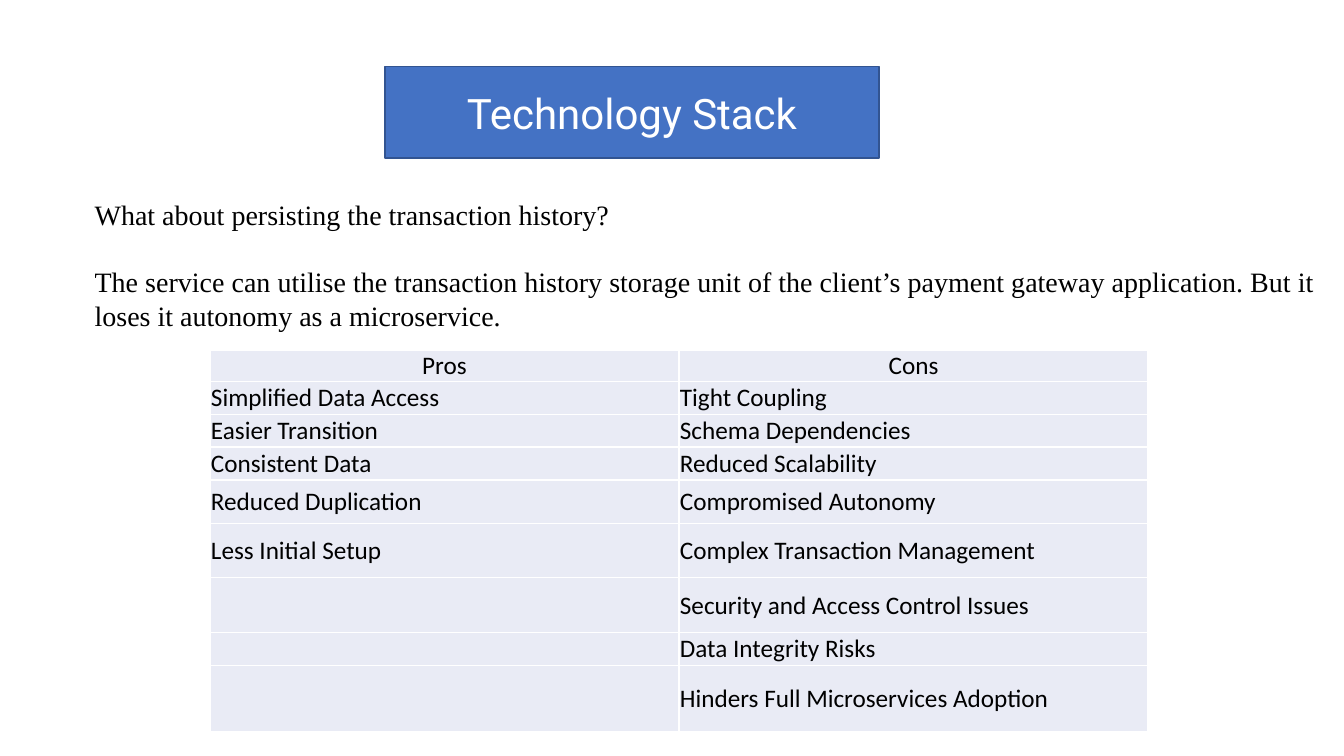
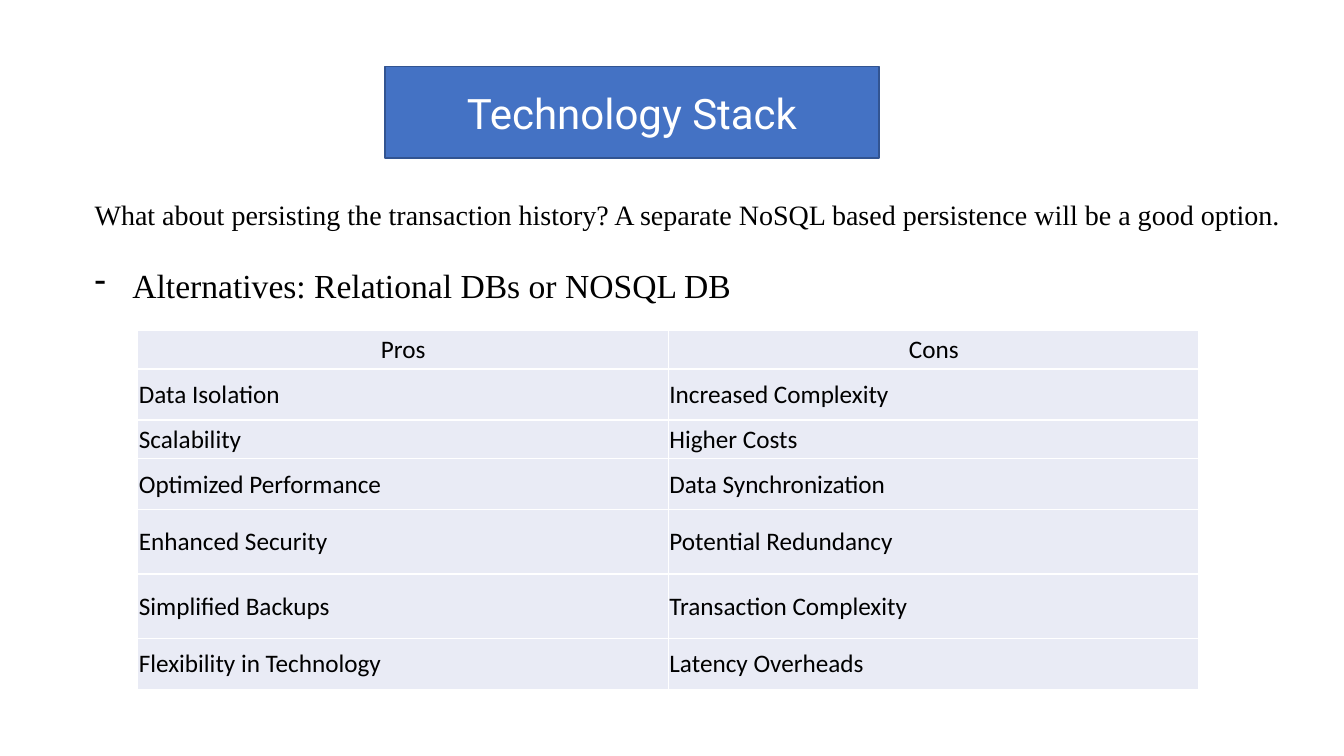
"""Build two Technology Stack slides, each with a text block and a pros and cons table."""
from lxml import etree
from pptx import Presentation
from pptx.dml.color import RGBColor
from pptx.enum.shapes import MSO_SHAPE
from pptx.enum.text import MSO_ANCHOR, MSO_AUTO_SIZE, PP_ALIGN
from pptx.oxml.ns import qn
from pptx.util import Pt

RECTANGLE = MSO_SHAPE.RECTANGLE
MIDDLE = MSO_ANCHOR.MIDDLE
GROW = MSO_AUTO_SIZE.SHAPE_TO_FIT_TEXT
LEFT, CENTER, JUSTIFY = PP_ALIGN.LEFT, PP_ALIGN.CENTER, PP_ALIGN.JUSTIFY

COLORS = {"band": "4472C4", "band_line": "325491", "cell": "E9EBF5",
          "white": "FFFFFF", "black": "000000"}
TITLE = "Technology Stack"
TITLE_BOX = (275, 47.5, 353, 65.5)
HEADER = ("Pros", "Cons")
CELL_MARGIN = 0.7

SLIDES = [
    {
        "body_height": 163,
        "body": [
            ("What about persisting the transaction history?", {}),
            ("The service can utilise the transaction history storage unit of the client’s "
             "payment gateway application. But it loses it autonomy as a microservice.",
             {"before": 24}),
        ],
        "table_at": (150, 250),
        "column_width": 335,
        "row_heights": [22, 23.5, 23.5, 23.5, 31, 39, 39, 23.5, 47],
        "rows": [
            ("Simplified Data Access", "Tight Coupling"),
            ("Easier Transition", "Schema Dependencies"),
            ("Consistent Data", "Reduced Scalability"),
            ("Reduced Duplication", "Compromised Autonomy"),
            ("Less Initial Setup", "Complex Transaction Management"),
            ("", "Security and Access Control Issues"),
            ("", "Data Integrity Risks"),
            ("", "Hinders Full Microservices Adoption"),
        ],
    },
    {
        "body_height": 172,
        "body": [
            ("What about persisting the transaction history? "
             "A separate NoSQL based persistence will be a good option.", {}),
            ("Alternatives: Relational DBs or NOSQL DB",
             {"before": 24, "size": 24, "bullet": "-"}),
        ],
        "table_at": (98.5, 236),
        "column_width": 379,
        "row_heights": [27.5, 36.5, 27.5, 36.5, 46, 46, 36.5],
        "rows": [
            ("Data Isolation", "Increased Complexity"),
            ("Scalability", "Higher Costs"),
            ("Optimized Performance", "Data Synchronization"),
            ("Enhanced Security", "Potential Redundancy"),
            ("Simplified Backups", "Transaction Complexity"),
            ("Flexibility in Technology", "Latency Overheads"),
        ],
    },
]


def color(name):
    return RGBColor.from_string(COLORS[name])


def write(para, text, *, size=20, font="Times New Roman", fill="black",
          align=JUSTIFY, before=0, bullet=None):
    para.alignment = align
    para.space_before = Pt(before)
    para.font.size = Pt(size)
    if bullet:
        properties = para._p.get_or_add_pPr()
        properties.set("marL", str(Pt(27)))
        properties.set("indent", str(Pt(-27)))
        mark = etree.Element(qn("a:buChar"), char=bullet)
        properties.insert_element_before(mark, "a:tabLst", "a:defRPr", "a:extLst")
    if text:
        span = para.add_run()
        span.text = text
        span.font.size = Pt(size)
        span.font.name = font
        span.font.color.rgb = color(fill)


def add_title(page):
    box = page.shapes.add_shape(RECTANGLE, *map(Pt, TITLE_BOX))
    box.shadow.inherit = False
    box.fill.solid()
    box.fill.fore_color.rgb = color("band")
    box.line.color.rgb = color("band_line")
    box.line.width = Pt(1)
    box.text_frame.vertical_anchor = MIDDLE
    write(box.text_frame.paragraphs[0], TITLE, size=30, font="Roboto",
          fill="white", align=CENTER)


def add_body(page, paragraphs, height):
    box = page.shapes.add_textbox(Pt(60.5), Pt(137.5), Pt(886), Pt(height))
    frame = box.text_frame
    frame.word_wrap = True
    frame.auto_size = GROW
    for index, (text, style) in enumerate(paragraphs):
        para = frame.add_paragraph() if index else frame.paragraphs[0]
        write(para, text, **style)


def style_cell(cell):
    cell.vertical_anchor = MIDDLE
    cell.margin_left = cell.margin_right = cell.margin_top = Pt(CELL_MARGIN)
    cell.margin_bottom = 0
    properties = cell._tc.get_or_add_tcPr()
    for side in ("lnL", "lnR", "lnT", "lnB"):
        border = etree.SubElement(properties, qn(f"a:{side}"), w=str(Pt(1)))
        paint = etree.SubElement(border, qn("a:solidFill"))
        etree.SubElement(paint, qn("a:srgbClr"), val=COLORS["white"])
    cell.fill.solid()
    cell.fill.fore_color.rgb = color("cell")


def add_table(page, content):
    rows = [HEADER, *content["rows"]]
    heights, width = content["row_heights"], content["column_width"]
    left, top = content["table_at"]
    table = page.shapes.add_table(len(rows), len(HEADER), Pt(left), Pt(top),
                                  Pt(width * len(HEADER)), Pt(sum(heights))).table
    table.first_row = table.horz_banding = False
    for row_index, (texts, height) in enumerate(zip(rows, heights)):
        table.rows[row_index].height = Pt(height)
        for column_index, text in enumerate(texts):
            cell = table.cell(row_index, column_index)
            style_cell(cell)
            write(cell.text_frame.paragraphs[0], text, size=18, font="Calibri",
                  align=LEFT if row_index else CENTER)


def main():
    deck = Presentation()
    deck.slide_width, deck.slide_height = Pt(960), Pt(540)
    for content in SLIDES:
        page = deck.slides.add_slide(deck.slide_layouts[6])
        add_title(page)
        add_body(page, content["body"], content["body_height"])
        add_table(page, content)
    deck.save("out.pptx")


if __name__ == "__main__":
    main()
